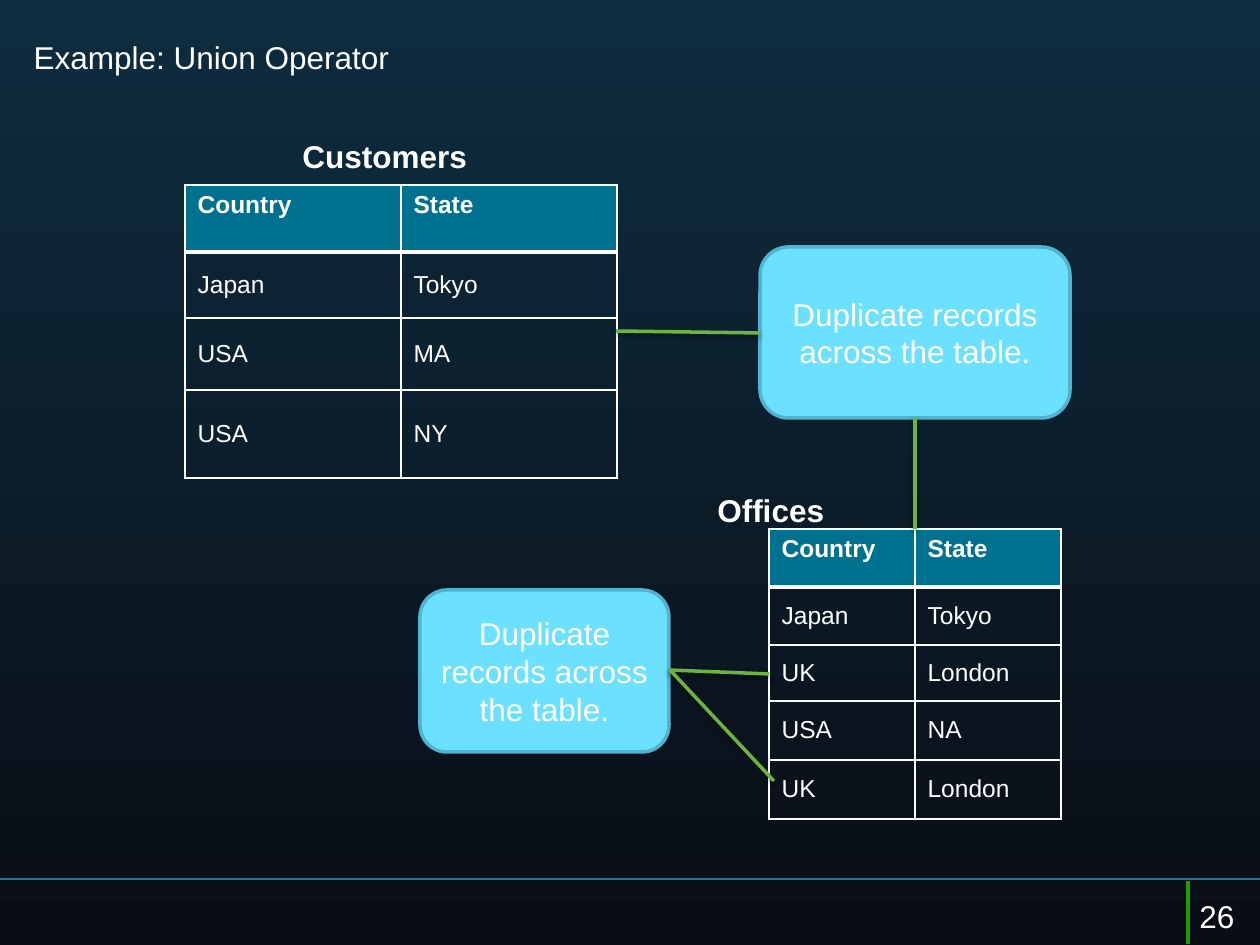
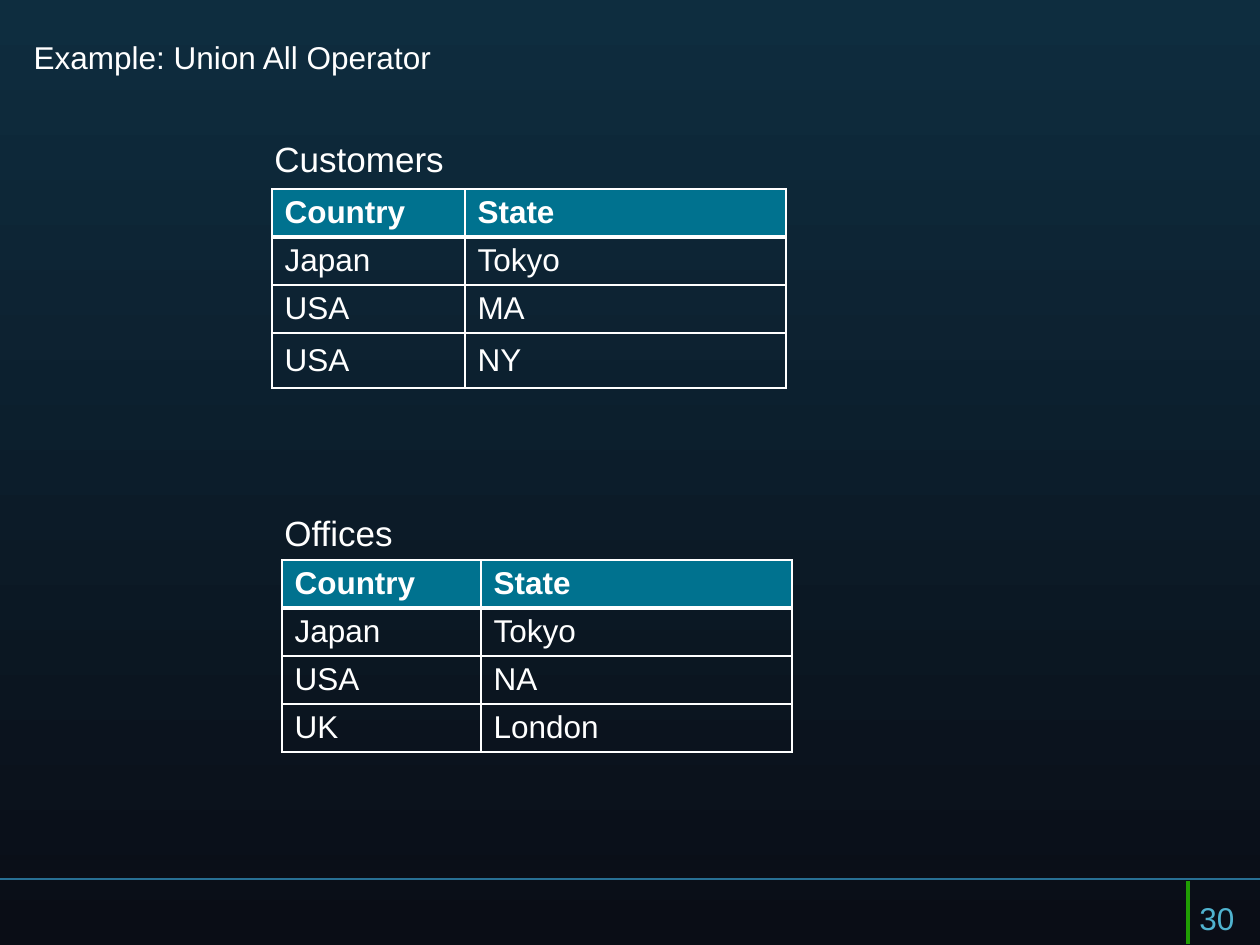
from dataclasses import dataclass

from lxml import etree
from pptx import Presentation
from pptx.dml.color import RGBColor
from pptx.enum.shapes import MSO_CONNECTOR, MSO_SHAPE
from pptx.enum.text import MSO_ANCHOR, PP_ALIGN
from pptx.oxml.ns import qn
from pptx.util import Emu, Pt

LINE = MSO_CONNECTOR.STRAIGHT
ROUNDED = MSO_SHAPE.ROUNDED_RECTANGLE
TOP, MIDDLE = MSO_ANCHOR.TOP, MSO_ANCHOR.MIDDLE
LEFT, CENTER = PP_ALIGN.LEFT, PP_ALIGN.CENTER

WIDTH, HEIGHT = 1260, 945
EMU_PER_PIXEL = 914400 / 126
FONT = "Arial"
WHITE = "FFFFFF"
BACKGROUND_TOP, BACKGROUND_BOTTOM = "0E2D3F", "0A0D16"
HEADER_FILL = "00728F"
CALLOUT_FILL, CALLOUT_LINE = "6CE1FF", "50B3CF"
LINK = "6DB33F"
FOOTER_RULE, FOOTER_TICK = "287094", "209D03"
CALLOUT_TEXT = "Duplicate records across the table."
HEADER = ("Country", "State")


@dataclass
class Label:
    text: str
    left: int
    top: int
    width: int
    height: int
    size: int = 18
    color: str = WHITE
    bold: bool = False
    wrap: bool = True


@dataclass
class Grid:
    left: int
    top: int
    columns: tuple[int, ...]
    heights: tuple[int, ...]
    records: tuple[tuple[str, str], ...]
    size: int


@dataclass
class Callout:
    left: int
    top: int
    width: int
    height: int


@dataclass
class Link:
    start: tuple[int, int]
    end: tuple[int, int]


@dataclass
class Page:
    title: str
    labels: list[Label]
    grids: list[Grid]
    callouts: list[Callout]
    links: list[Link]


def px(length: float) -> Emu:
    return Emu(round(length * EMU_PER_PIXEL))


def rgb(color: str) -> RGBColor:
    return RGBColor.from_string(color)


def write(frame, text: str, size: int, color: str = WHITE, bold: bool = False, align=LEFT) -> None:
    frame.text = text
    paragraph = frame.paragraphs[0]
    paragraph.alignment = align
    font = paragraph.font
    font.name, font.size, font.bold = FONT, Pt(size), bold
    font.color.rgb = rgb(color)


def set_background(master) -> None:
    fill = master.background.fill
    fill.gradient()
    fill.gradient_angle = 270
    for stop, position, color in zip(fill.gradient_stops, (0, 1), (BACKGROUND_TOP, BACKGROUND_BOTTOM)):
        stop.position = position
        stop.color.rgb = rgb(color)


def add_line(slide, link: Link, color: str, weight: float, shadow: bool = False) -> None:
    connector = slide.shapes.add_connector(LINE, *map(px, link.start + link.end))
    connector.line.color.rgb = rgb(color)
    connector.line.width = Pt(weight)
    effects = etree.SubElement(connector._element.spPr, qn("a:effectLst"))
    if shadow:
        outer = etree.SubElement(
            effects, qn("a:outerShdw"),
            blurRad=str(Pt(3.1)), dist=str(Pt(1.6)), dir="5400000", rotWithShape="0",
        )
        black = etree.SubElement(outer, qn("a:srgbClr"), val="000000")
        etree.SubElement(black, qn("a:alpha"), val="38000")


def add_title(slide, text: str) -> None:
    title = slide.shapes.title
    title.left, title.top, title.width, title.height = map(px, (21, 32, 1239, 41))
    write(title.text_frame, text, 18)
    title.text_frame.vertical_anchor = TOP


def add_label(slide, label: Label) -> None:
    box = slide.shapes.add_textbox(*map(px, (label.left, label.top, label.width, label.height)))
    box.text_frame.word_wrap = label.wrap
    write(box.text_frame, label.text, label.size, label.color, label.bold)


def add_callout(slide, callout: Callout) -> None:
    shape = slide.shapes.add_shape(
        ROUNDED, *map(px, (callout.left, callout.top, callout.width, callout.height))
    )
    shape.shadow.inherit = False
    shape.fill.solid()
    shape.fill.fore_color.rgb = rgb(CALLOUT_FILL)
    shape.line.color.rgb = rgb(CALLOUT_LINE)
    shape.line.width = Pt(2)
    shape.text_frame.word_wrap = True
    shape.text_frame.vertical_anchor = MIDDLE
    write(shape.text_frame, CALLOUT_TEXT, 18, align=CENTER)


def set_borders(cell, top: float, bottom: float) -> None:
    properties = cell._tc.get_or_add_tcPr()
    for side, weight in (("L", 1), ("R", 1), ("T", top), ("B", bottom)):
        border = etree.SubElement(properties, qn(f"a:ln{side}"), w=str(Pt(weight)))
        fill = etree.SubElement(border, qn("a:solidFill"))
        etree.SubElement(fill, qn("a:srgbClr"), val=WHITE)


def add_grid(slide, grid: Grid) -> None:
    rows = (HEADER, *grid.records)
    frame = slide.shapes.add_table(
        len(rows), len(HEADER),
        *map(px, (grid.left, grid.top, sum(grid.columns), sum(grid.heights))),
    )
    table = frame.table
    table.horz_banding = False
    for column, width in zip(table.columns, grid.columns):
        column.width = px(width)
    for index, (record, height) in enumerate(zip(rows, grid.heights)):
        table.rows[index].height = px(height)
        is_header = index == 0
        for column_index, text in enumerate(record):
            cell = table.cell(index, column_index)
            set_borders(cell, top=3 if index == 1 else 1, bottom=3 if is_header else 1)
            cell.vertical_anchor = TOP if is_header else MIDDLE
            if is_header:
                cell.fill.solid()
                cell.fill.fore_color.rgb = rgb(HEADER_FILL)
            else:
                cell.fill.background()
            write(cell.text_frame, text, grid.size, bold=is_header)


def add_page(presentation, page: Page) -> None:
    slide = presentation.slides.add_slide(presentation.slide_layouts[5])
    add_line(slide, Link((WIDTH, 879), (0, 879)), FOOTER_RULE, 0.75)
    add_line(slide, Link((1188, 881), (1188, 944)), FOOTER_TICK, 2)
    add_title(slide, page.title)
    for grid in page.grids:
        add_grid(slide, grid)
    for label in page.labels:
        add_label(slide, label)
    for callout in page.callouts:
        add_callout(slide, callout)
    for link in page.links:
        add_line(slide, link, LINK, 2, shadow=True)


CUSTOMERS = (("Japan", "Tokyo"), ("USA", "MA"), ("USA", "NY"))

PAGES = [
    Page(
        "Example: Union Operator",
        labels=[
            Label("Customers", 290, 131, 220, 50, bold=True),
            Label("Offices", 705, 485, 136, 50, bold=True),
            Label("26", 1187, 891, 60, 50, wrap=False),
        ],
        grids=[
            Grid(185, 185, (216, 216), (67, 66, 72, 88), CUSTOMERS, 14),
            Grid(
                769, 529, (146, 146), (58, 58, 56, 59, 59),
                (("Japan", "Tokyo"), ("UK", "London"), ("USA", "NA"), ("UK", "London")), 14,
            ),
        ],
        callouts=[Callout(760, 247, 310, 171), Callout(420, 590, 249, 162)],
        links=[
            Link((915, 418), (915, 529)),
            Link((760, 333), (616, 331)),
            Link((769, 674), (669, 670)),
            Link((774, 781), (670, 670)),
        ],
    ),
    Page(
        "Example: Union All Operator",
        labels=[
            Label("Customers", 262, 131, 220, 55, size=20),
            Label("Offices", 272, 505, 431, 55, size=20),
            Label("30", 1187, 893, 102, 32, color=CALLOUT_LINE),
        ],
        grids=[
            Grid(272, 189, (193, 321), (48, 48, 48, 55), CUSTOMERS, 18),
            Grid(
                282, 560, (199, 311), (48, 48, 48, 48),
                (("Japan", "Tokyo"), ("USA", "NA"), ("UK", "London")), 18,
            ),
        ],
        callouts=[],
        links=[],
    ),
]


def main() -> None:
    presentation = Presentation()
    presentation.slide_width, presentation.slide_height = px(WIDTH), px(HEIGHT)
    set_background(presentation.slide_master)
    for page in PAGES:
        add_page(presentation, page)
    presentation.save("out.pptx")


main()
